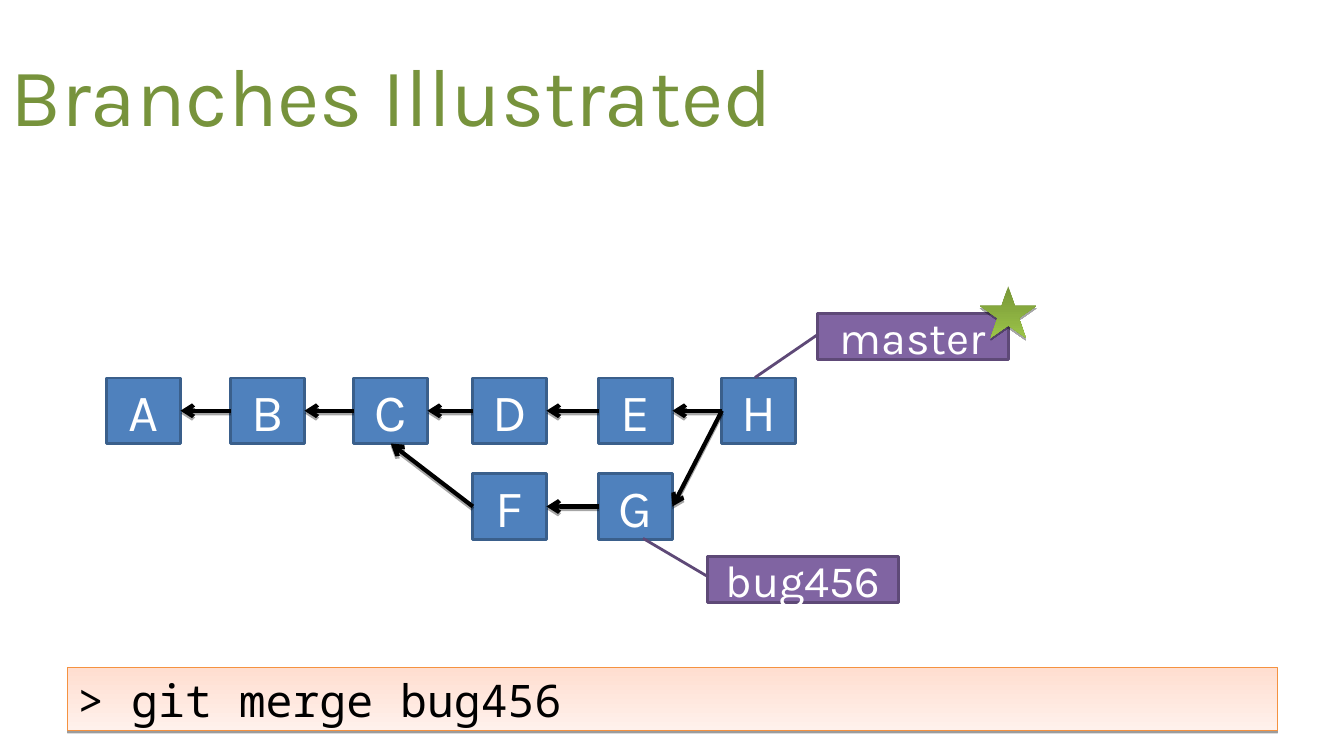
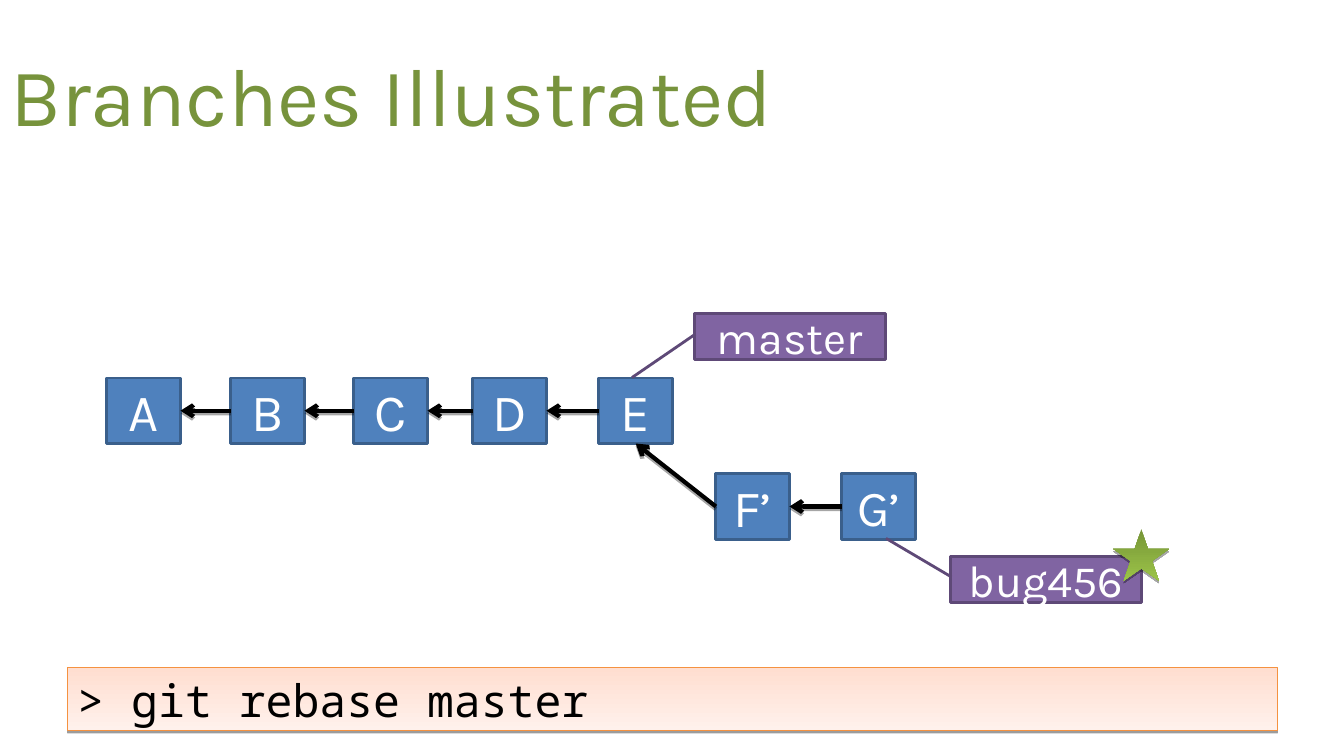
from lxml.etree import SubElement
from pptx import Presentation
from pptx.dml.color import RGBColor
from pptx.enum.shapes import MSO_CONNECTOR, MSO_SHAPE
from pptx.enum.text import MSO_ANCHOR, MSO_AUTO_SIZE, PP_ALIGN
from pptx.oxml.ns import qn
from pptx.util import Inches, Pt

BLACK = RGBColor(0x00, 0x00, 0x00)
WHITE = RGBColor(0xFF, 0xFF, 0xFF)
GREEN = RGBColor(0x77, 0x93, 0x3C)
BLUE = RGBColor(0x4F, 0x81, 0xBD)
BLUE_EDGE = RGBColor(0x3A, 0x5F, 0x8B)
PURPLE = RGBColor(0x80, 0x64, 0xA2)
PURPLE_EDGE = RGBColor(0x5E, 0x49, 0x77)
ORANGE = RGBColor(0xF5, 0x92, 0x40)
PEACH = (RGBColor(0xFF, 0xDE, 0xD0), RGBColor(0xFF, 0xF1, 0xEC))
LEAF = (RGBColor(0x77, 0x96, 0x37), RGBColor(0x9B, 0xC3, 0x48))

TITLE_FONT = {"name": "Karla", "size": Pt(58.7), "color": GREEN}
COMMIT_FONT = {"name": "Karla", "size": Pt(37.4), "color": WHITE}
SMALL_COMMIT_FONT = {**COMMIT_FONT, "size": Pt(36)}
LABEL_FONT = {"name": "Karla", "size": Pt(32), "color": WHITE}
COMMAND_FONT = {"name": "Noto Sans Mono", "size": Pt(32), "color": BLACK}

TITLE = "Branches Illustrated"
TOP, LEFT, BOTTOM, RIGHT = range(4)
MAIN_ROW, BRANCH_ROW = 3.75, 4.7
COMMIT_SIZE = (0.73, 0.65)
LABEL_SIZE = (1.89, 0.46)
STAR_SIZE = (0.56, 0.51)

# Branch labels: offset from the commit, top, callout line
LABELS = {
    "master": (0.95, 3.11, (0.446, 0.004, 1.383, -0.329)),
    "bug456": (1.08, 5.52, (0.446, 0.004, -0.389, -0.34)),
}

# Commits: name -> (left, top); arrows: (child, parent, side of the parent)
TRUNK = {name: (left, MAIN_ROW) for name, left in
         zip("ABCDE", (1.06, 2.29, 3.51, 4.69, 5.94))}
TRUNK_ARROWS = [(child, parent, RIGHT) for parent, child in zip("ABCD", "BCDE")]

SLIDES = [
    {
        "commits": {**TRUNK, "F": (4.69, BRANCH_ROW), "G": (5.94, BRANCH_ROW),
                    "H": (7.16, MAIN_ROW)},
        "arrows": TRUNK_ARROWS + [("F", "C", BOTTOM), ("G", "F", RIGHT),
                                  ("H", "E", RIGHT), ("H", "G", RIGHT)],
        "branches": {"master": "H", "bug456": "G"},
        "current": "master",
        "command": "> git merge bug456",
    },
    {
        "commits": {**TRUNK, "F’": (7.1, BRANCH_ROW), "G’": (8.35, BRANCH_ROW)},
        "arrows": TRUNK_ARROWS + [("F’", "E", BOTTOM), ("G’", "F’", RIGHT)],
        "branches": {"master": "E", "bug456": "G’"},
        "current": "bug456",
        "command": "> git rebase master",
    },
]


def write(shape, text, font_format, alignment):
    paragraph = shape.text_frame.paragraphs[0]
    paragraph.text = text
    paragraph.alignment = alignment
    for name, value in font_format.items():
        if name == "color":
            paragraph.font.color.rgb = value
        else:
            setattr(paragraph.font, name, value)


def add_shadow(shape, opacity, distance):
    """Add a black shadow straight below; fill and line must be set before."""
    properties = shape.element.spPr
    effects = properties.find(qn("a:effectLst"))
    if effects is None:
        effects = SubElement(properties, qn("a:effectLst"))
    shadow = SubElement(effects, qn("a:outerShdw"), blurRad="0",
                        dist=str(Pt(distance)), dir="5400000", rotWithShape="0")
    color = SubElement(shadow, qn("a:srgbClr"), val=str(BLACK))
    SubElement(color, qn("a:alpha"), val=str(opacity * 1000))


def add_box(slide, kind, position, size, fill, edge=None, width=2):
    shape = slide.shapes.add_shape(kind, *map(Inches, position + size))
    shape.shadow.inherit = False
    if isinstance(fill, RGBColor):
        shape.fill.solid()
        shape.fill.fore_color.rgb = fill
    else:
        shape.fill.gradient()
        shape.fill.gradient_angle = 270
        for stop, color in zip(shape.fill.gradient_stops, fill):
            stop.color.rgb = color
    if edge is None:
        shape.line.fill.background()
    else:
        shape.line.color.rgb = edge
        shape.line.width = Pt(width)
    return shape


def add_arrow(slide, child, parent, side):
    arrow = slide.shapes.add_connector(MSO_CONNECTOR.STRAIGHT, 0, 0, 0, 0)
    arrow.begin_connect(child, LEFT)
    arrow.end_connect(parent, side)
    arrow.line.color.rgb = BLACK
    arrow.line.width = Pt(3)
    SubElement(arrow.element.spPr.find(qn("a:ln")), qn("a:tailEnd"), type="arrow")
    add_shadow(arrow, 35, 1.8)


def add_label(slide, branch, commit_left, is_current):
    offset, top, callout = LABELS[branch]
    left = commit_left + offset
    label = add_box(slide, MSO_SHAPE.LINE_CALLOUT_1, (left, top), LABEL_SIZE,
                    PURPLE, PURPLE_EDGE)
    for index, value in enumerate(callout):
        label.adjustments[index] = value
    write(label, branch, LABEL_FONT, PP_ALIGN.CENTER)
    if is_current:
        # The star is centred on the label's top right corner
        corner = left + LABEL_SIZE[0]
        star = add_box(slide, MSO_SHAPE.STAR_5_POINT,
                       (corner - STAR_SIZE[0] / 2, top - 0.27), STAR_SIZE, LEAF)
        add_shadow(star, 35, 1.8)


def add_title(slide):
    title = slide.shapes.title
    place = {"left": 0, "top": 0.3, "width": 12, "height": 1.25}
    for name, value in place.items():
        setattr(title, name, Inches(value))
    title.text_frame.vertical_anchor = MSO_ANCHOR.MIDDLE
    write(title, TITLE, TITLE_FONT, PP_ALIGN.LEFT)


def add_command(slide, command):
    bar = add_box(slide, MSO_SHAPE.RECTANGLE, (0.67, 6.62), (12, 0.63),
                  PEACH, ORANGE, 0.75)
    add_shadow(bar, 38, 1.6)
    bar.text_frame.vertical_anchor = MSO_ANCHOR.TOP
    bar.text_frame.auto_size = MSO_AUTO_SIZE.SHAPE_TO_FIT_TEXT
    write(bar, command, COMMAND_FONT, PP_ALIGN.LEFT)


def build_slide(presentation, content):
    slide = presentation.slides.add_slide(presentation.slide_layouts[5])
    add_title(slide)

    # Commits and the arrows to their parents
    boxes = {}
    for name, position in content["commits"].items():
        boxes[name] = add_box(slide, MSO_SHAPE.RECTANGLE, position, COMMIT_SIZE,
                              BLUE, BLUE_EDGE)
        font_format = SMALL_COMMIT_FONT if name == "G’" else COMMIT_FONT
        write(boxes[name], name, font_format, PP_ALIGN.CENTER)
    for child, parent, side in content["arrows"]:
        add_arrow(slide, boxes[child], boxes[parent], side)

    # Branch labels, with a star on the current one
    for branch, commit in content["branches"].items():
        add_label(slide, branch, content["commits"][commit][0],
                  branch == content["current"])

    add_command(slide, content["command"])


def main():
    presentation = Presentation()
    presentation.slide_width = Inches(13.33)
    presentation.slide_height = Inches(7.5)
    for content in SLIDES:
        build_slide(presentation, content)
    presentation.save("out.pptx")


if __name__ == "__main__":
    main()
